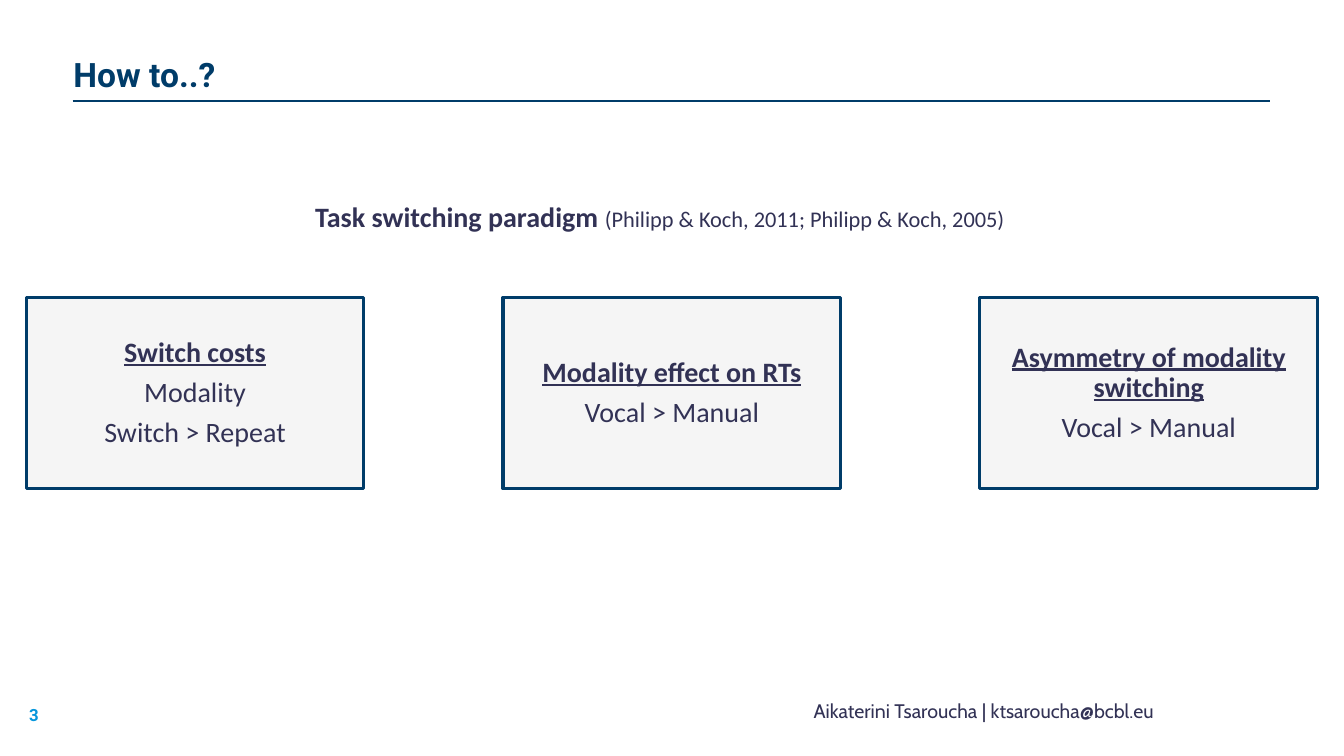
from pptx import Presentation
from pptx.dml.color import RGBColor as Rgb
from pptx.enum.shapes import MSO_CONNECTOR as Conn, MSO_SHAPE as Kind
from pptx.enum.text import MSO_ANCHOR as Anchor, PP_ALIGN as Align
from pptx.oxml.ns import qn
from pptx.util import Inches, Pt
from lxml.etree import SubElement as Sub

NAVY, INK, BLUE, GREY = "003C69", "323255", "0696DC", "F5F5F5"


def hue(code):
    return Rgb.from_string(code)


class Page:
    """Style and current slide; lengths are percent of the slide's size."""

    base = {"name": "Calibri", "size": 20, "color": INK, "bold": False}

    def __init__(self, deck):
        self.wide, self.high = deck.slide_width, deck.slide_height
        self.slide = deck.slides.add_slide(deck.slide_layouts[6])

    def at(self, *area):
        sides = (self.wide, self.high) * 2
        return [round(side * part / 100) for side, part in zip(sides, area)]

    def fill(self, frame, paras, anchor, form):
        """Write paragraphs, each a list of (words, font values)."""
        frame.word_wrap = True
        frame.vertical_anchor = anchor
        for i, runs in enumerate(paras):
            para = frame.add_paragraph() if i else frame.paragraphs[0]
            for key, value in form.items():
                setattr(para, key, value)
            for words, style in runs:
                run = para.add_run()
                run.text = words
                for key, value in {**self.base, **style}.items():
                    if key == "color":
                        run.font.color.rgb = hue(value)
                    else:
                        setattr(run.font, key, Pt(value) if key == "size" else value)

    def text(self, area, runs, anchor=Anchor.TOP, **form):
        box = self.slide.shapes.add_textbox(*self.at(*area))
        self.fill(box.text_frame, [runs], anchor, form)

    def rule(self, *ends):
        line = self.slide.shapes.add_connector(Conn.STRAIGHT, *self.at(*ends))
        line.line.color.rgb = hue(NAVY)
        line.line.width = Pt(1.5)
        Sub(line._element.spPr, qn("a:effectLst"))

    def card(self, area, head, *lines):
        box = self.slide.shapes.add_shape(Kind.RECTANGLE, *self.at(*area))
        box.shadow.inherit = False
        box.fill.solid()
        box.fill.fore_color.rgb = hue(GREY)
        box.line.color.rgb = hue(NAVY)
        box.line.width = Pt(2.25)
        frame = box.text_frame
        for side in ("left", "top", "right", "bottom"):
            setattr(frame, "margin_" + side, Inches(0.08))
        paras = [[(head, {"bold": True, "underline": True})]]
        paras += [[(line, {})] for line in lines]
        self.fill(frame, paras, Anchor.MIDDLE,
                  {"alignment": Align.CENTER, "line_spacing": 0.9, "space_after": Pt(7)})


def main():
    deck = Presentation()
    deck.slide_width, deck.slide_height = Inches(13.33), Inches(7.5)
    page = Page(deck)

    # Title and rule
    title = {"name": "Roboto", "size": 24, "color": NAVY, "bold": True}
    page.text((4.73, 3.6, 80.85, 9.6), [("How to..?", title)], Anchor.BOTTOM, line_spacing=0.9)
    page.rule(5.4, 13.33, 94.5, 13.33)

    # Paradigm
    page.text((3.68, 23.47, 90.83, 9.6),
              [("Task switching paradigm ", {"bold": True}),
               ("(Philipp & Koch, 2011; Philipp & Koch, 2005)", {"size": 16})],
              alignment=Align.CENTER, line_spacing=1.5)

    # Footer
    page.text((1.43, 92.53, 3.98, 5.33),
              [("3", {"name": "Roboto", "size": 12, "color": BLUE, "bold": True})])
    page.text((56.03, 91.73, 34.35, 5.33),
              [("Aikaterini Tsaroucha | ktsaroucha@bcbl.eu", {"name": "Cabin", "size": 14})],
              alignment=Align.CENTER)

    # Three effects, evenly spaced
    cards = [("Switch costs", "Modality", "Switch > Repeat"),
             ("Modality effect on RTs", "Vocal > Manual"),
             ("Asymmetry of modality switching", "Vocal > Manual")]
    for i, words in enumerate(cards):
        page.card((1.95 + 35.48 * i, 39.33, 25.13, 25.33), *words)

    deck.save("out.pptx")


if __name__ == "__main__":
    main()
